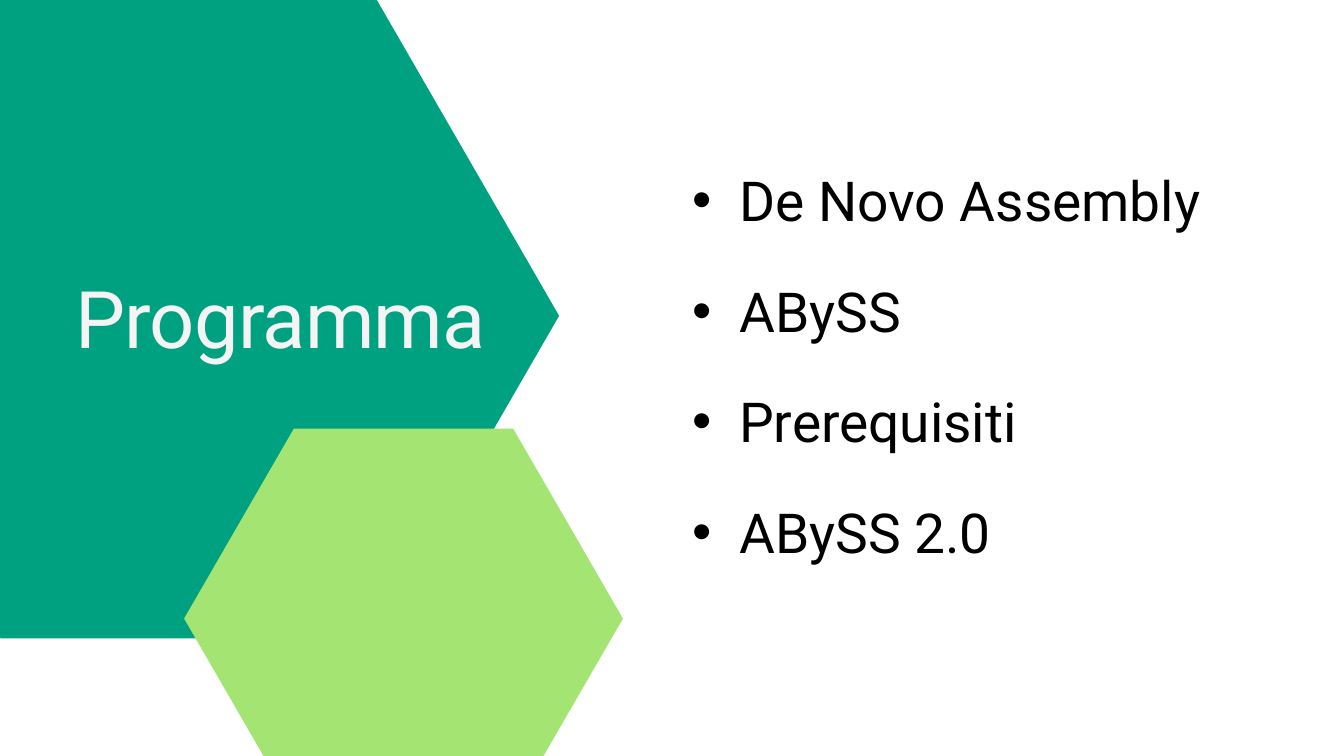
from dataclasses import dataclass

from lxml import etree
from pptx import Presentation
from pptx.dml.color import RGBColor
from pptx.enum import text
from pptx.oxml import ns
from pptx.util import Inches, Pt


@dataclass(frozen=True)
class Theme:
    font: str = "Roboto"
    green: str = "00A181"
    lime: str = "A4E473"
    light: str = "F4F4F4"
    ink: str = "000000"
    title: float = 85
    item: float = 59
    title_line: float = 102
    item_line: float = 82.5


THEME = Theme()


def add_hex(slide, left, top, width, height, color):
    right, low, mid = left + width, top + height, top + height / 2
    near, far = left + width / 4, right - width / 4
    points = [(far, low), (near, low), (left, mid), (near, top), (far, top)]
    pen = slide.shapes.build_freeform(Inches(right), Inches(mid))
    pen.add_line_segments([(Inches(x), Inches(y)) for x, y in points])
    shape = pen.convert_to_shape()
    shape.shadow.inherit = False
    shape.fill.solid()
    shape.fill.fore_color.rgb = RGBColor.from_string(color)
    shape.line.fill.background()


def add_text(slide, words, left, top, width, height, size, line, color):
    box = slide.shapes.add_textbox(
        Inches(left), Inches(top), Inches(width), Inches(height))
    frame = box.text_frame
    frame.word_wrap = True
    frame.auto_size = text.MSO_AUTO_SIZE.SHAPE_TO_FIT_TEXT
    frame.margin_left = frame.margin_right = 0
    frame.margin_top = frame.margin_bottom = 0
    para = frame.paragraphs[0]
    para.line_spacing = Pt(line)
    run = para.add_run()
    run.text = words
    run.font.name = THEME.font
    run.font.size = Pt(size)
    run.font.color.rgb = RGBColor.from_string(color)
    return para


def add_title(slide, words):
    para = add_text(slide, words, 1.12, 4, 8.14, 1.41,
                    THEME.title, THEME.title_line, THEME.light)
    para.runs[0].font._element.set("spc", "-80")


def add_item(slide, words, top):
    para = add_text(slide, words, 9.61, top, 10.15, 1.1,
                    THEME.item, THEME.item_line, THEME.ink)
    props = para._p.get_or_add_pPr()
    props.set("marL", str(Inches(1.39)))
    props.set("indent", str(Inches(-0.7)))
    font = etree.SubElement(props, ns.qn("a:buFont"))
    font.set("typeface", "Arial")
    mark = etree.SubElement(props, ns.qn("a:buChar"))
    mark.set("char", "•")


def main():
    deck = Presentation()
    deck.slide_width, deck.slide_height = Inches(20), Inches(11.25)
    slide = deck.slides.add_slide(deck.slide_layouts[6])
    add_hex(slide, -2.76, -0.1, 11.08, 9.6, THEME.green)
    add_hex(slide, 2.74, 6.38, 6.53, 5.65, THEME.lime)
    add_title(slide, "Programma")
    items = ["De Novo Assembly", "ABySS", "Prerequisiti", "ABySS 2.0"]
    for row, words in enumerate(items):
        add_item(slide, words, 2.32 + 1.645 * row)
    deck.save("out.pptx")


if __name__ == "__main__":
    main()
